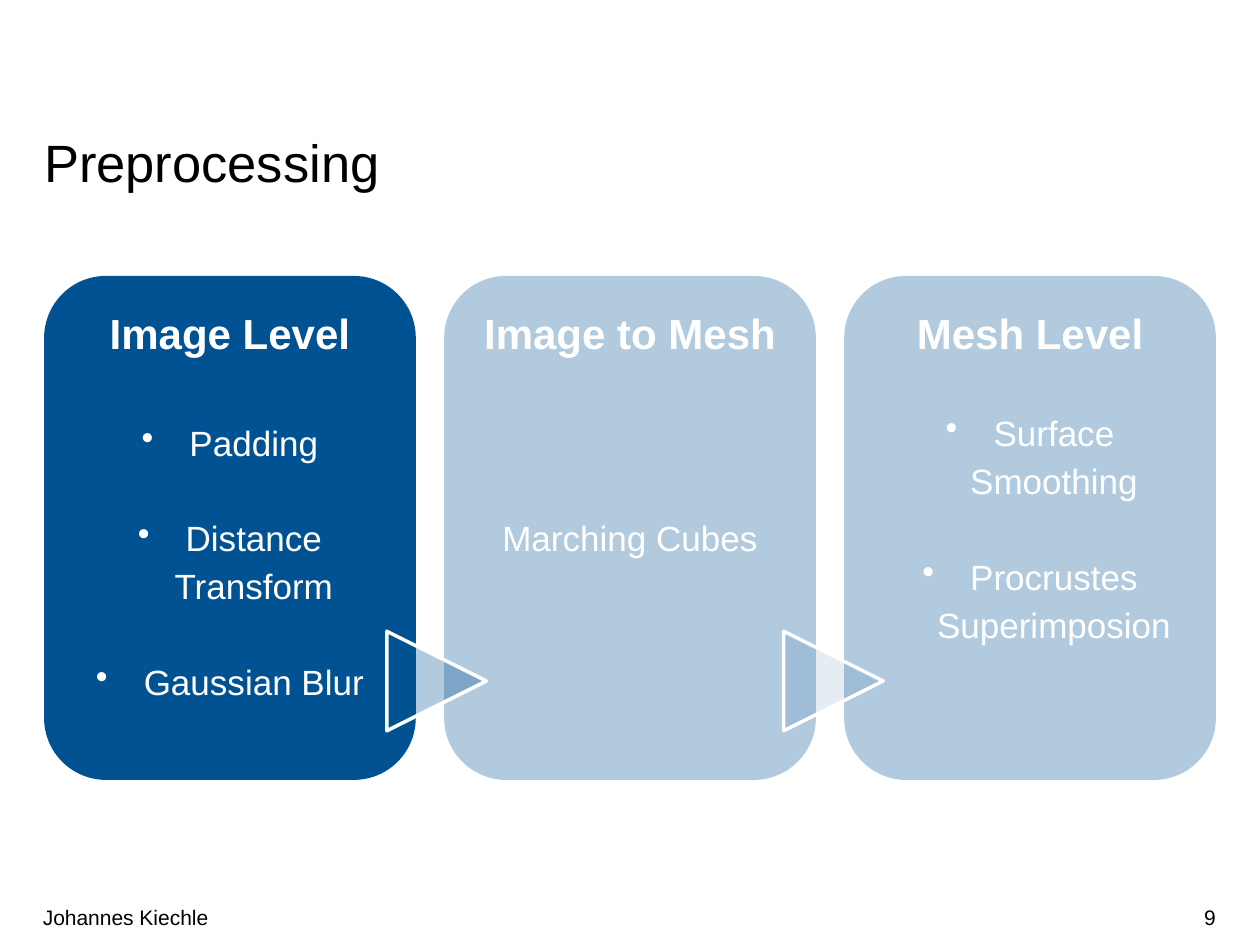
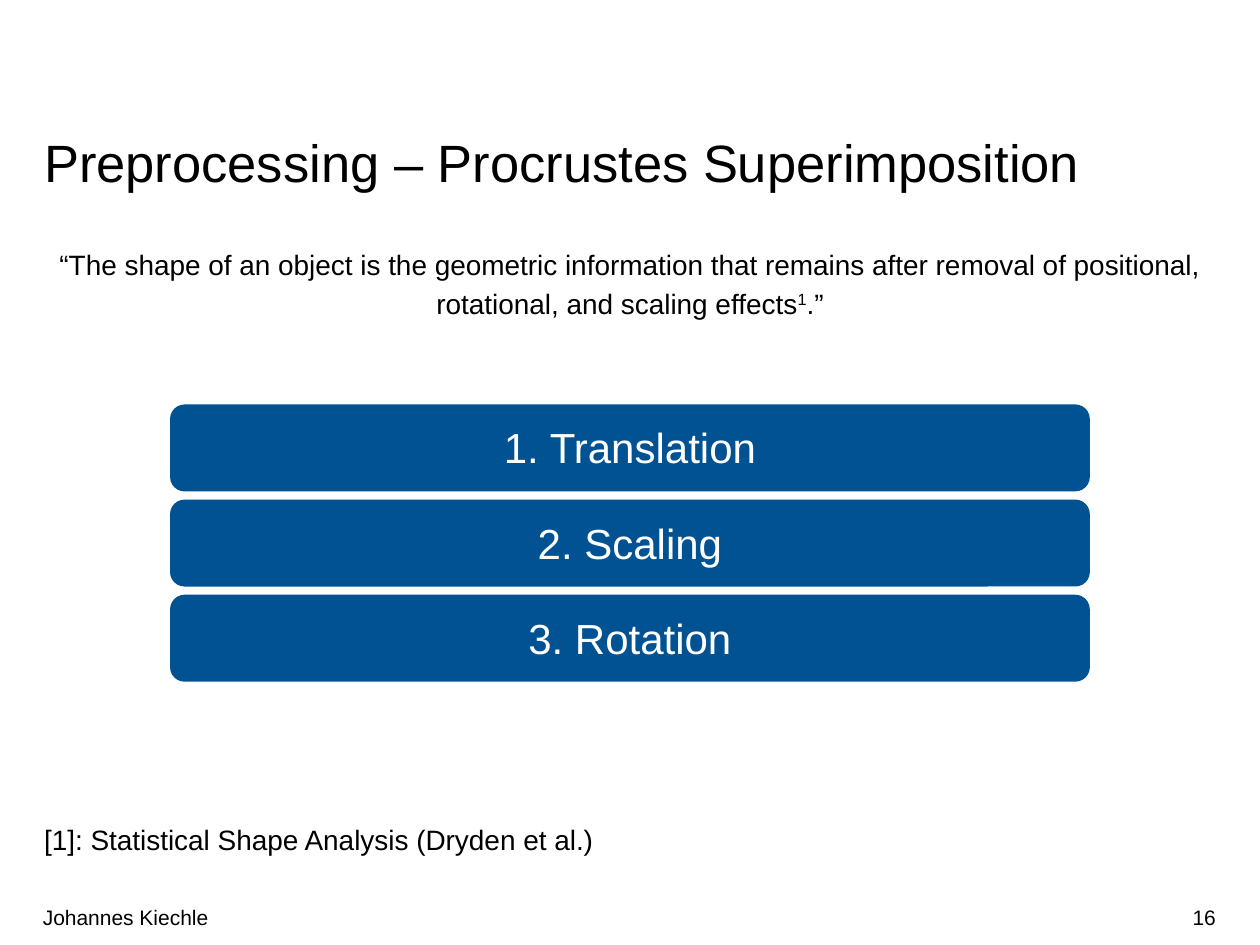
from dataclasses import dataclass

from lxml import etree
from pptx import Presentation, util as u
from pptx.dml.color import RGBColor
from pptx.enum import shapes, text
from pptx.oxml.ns import qn


@dataclass(frozen=True)
class Theme:
    font: str = "Arial"
    ink: str = "000000"
    blue: str = "005293"
    white: str = "FFFFFF"
    title: int = 30
    head: int = 24
    item: int = 20
    body: int = 16
    foot: int = 12
    lead: float = 1.14
    row: float = 1.37


T = Theme()
WIDTH, HEIGHT = 10, 7.5
LEFT, SPAN = 0.35, 9.3
SHAPE = shapes.MSO_SHAPE
ALIGN = text.PP_ALIGN
ANCHOR = text.MSO_ANCHOR
FIT = text.MSO_AUTO_SIZE
FLUSH = dict.fromkeys(("margin_left", "margin_top", "margin_right", "margin_bottom"), 0)


def apply(obj, vals):
    for key, val in vals.items():
        setattr(obj, key, val)


def place(shape, *box):
    apply(shape, dict(zip(("left", "top", "width", "height"), map(u.Inches, box))))


def add_run(para, words, size, color, bold=False, base=0):
    run = para.add_run()
    run.text = words
    apply(run.font, {"name": T.font, "size": u.Pt(size), "bold": bold})
    run.font.color.rgb = RGBColor.from_string(color)
    if base:
        run._r.get_or_add_rPr().set("baseline", str(base * 1000))


def add_para(frame, words, size, color, gap=0, align=ALIGN.LEFT, lead=T.lead,
             bold=False, dot=False):
    para = frame.paragraphs[0]
    if para.runs:
        para = frame.add_paragraph()
    apply(para, {"alignment": align, "line_spacing": lead, "space_before": u.Pt(gap)})
    props = para._p.get_or_add_pPr()
    dent = u.Inches(0.38) if dot else 0
    props.set("marL", str(dent))
    props.set("indent", str(-dent))
    if dot:
        etree.SubElement(props, qn("a:buChar"), char="•")
    else:
        etree.SubElement(props, qn("a:buNone"))
    add_run(para, words, size, color, bold)
    return para


def add_form(slide, kind, box, alpha=100):
    form = slide.shapes.add_shape(kind, *map(u.Inches, box))
    form.shadow.inherit = False
    form.fill.solid()
    form.fill.fore_color.rgb = RGBColor.from_string(T.blue)
    if alpha < 100:
        color = form._element.spPr.find(".//" + qn("a:srgbClr"))
        etree.SubElement(color, qn("a:alpha"), val=str(alpha * 1000))
    form.line.fill.background()
    apply(form.text_frame, {"word_wrap": True, "vertical_anchor": ANCHOR.TOP})
    return form


def add_card(slide, col, head, items, gap, alpha):
    wide = 2.95
    step = (SPAN - wide) / 2
    card = add_form(slide, SHAPE.ROUNDED_RECTANGLE, (LEFT + col * step, 2.19, wide, 4), alpha)
    frame = card.text_frame
    add_para(frame, head, T.head, T.white, align=ALIGN.CENTER, bold=True)
    for num, item in enumerate(items):
        add_para(frame, item, T.item, T.white, T.row * (T.item if num else gap),
                 ALIGN.CENTER, dot=len(items) > 1)


def add_arrow(slide, col, alpha):
    arrow = add_form(slide, SHAPE.ISOSCELES_TRIANGLE, (3.07 + col * 3.15, 5.01, 0.79, 0.79), alpha)
    arrow.rotation = 90
    arrow.line.color.rgb = RGBColor.from_string(T.white)
    arrow.line.width = u.Pt(2)


def add_bar(slide, row, words):
    bar = add_form(slide, SHAPE.ROUNDED_RECTANGLE, (1.35, 3.21 + row * 0.755, 7.3, 0.69))
    add_para(bar.text_frame, words, T.head, T.white, align=ALIGN.CENTER)


def add_foot(slide, left, wide, words, align):
    box = slide.shapes.add_textbox(*map(u.Inches, (left, 7.08, wide, 0.4)))
    apply(box.text_frame, {"word_wrap": True, "vertical_anchor": ANCHOR.MIDDLE,
                           "margin_left": 0, "margin_right": 0})
    add_para(box.text_frame, words, T.foot, T.ink, align=align, lead=1.0)


def add_slide(deck, layout, title, num):
    slide = deck.slides.add_slide(deck.slide_layouts[layout])
    head = slide.shapes.title
    place(head, LEFT, 1.09, SPAN, 0.45)
    apply(head.text_frame, FLUSH | {"vertical_anchor": ANCHOR.TOP, "word_wrap": True,
                                    "auto_size": FIT.SHAPE_TO_FIT_TEXT})
    add_para(head.text_frame, title, T.title, T.ink, lead=u.Pt(32))
    add_foot(slide, 7.41, 2.24, str(num), ALIGN.RIGHT)
    add_foot(slide, 0.34, 7.07, "Johannes Kiechle", ALIGN.LEFT)
    return slide


def add_quote(slide):
    body = slide.placeholders[1]
    place(body, LEFT, 1.93, SPAN, 5.14)
    frame = body.text_frame
    apply(frame, FLUSH | {"vertical_anchor": ANCHOR.TOP, "word_wrap": True,
                          "auto_size": FIT.NONE})
    para = add_para(frame, "“The shape of an object is the geometric information that remains "
                    "after removal of positional, rotational, and scaling effects",
                    T.body, T.ink, align=ALIGN.CENTER)
    add_run(para, "1", T.body, T.ink, base=30)
    add_run(para, ".”", T.body, T.ink)
    add_para(frame, "[1]: Statistical Shape Analysis (Dryden et al.)", T.body, T.ink,
             13 * T.row * T.body)


def main():
    deck = Presentation()
    apply(deck, {"slide_width": u.Inches(WIDTH), "slide_height": u.Inches(HEIGHT)})

    flow = add_slide(deck, 5, "Preprocessing", 9)
    cards = (
        ("Image Level", ("Padding", "Distance Transform", "Gaussian Blur"), T.head, 100),
        ("Image to Mesh", ("Marching Cubes",), T.head + 2 * T.item, 30),
        ("Mesh Level", ("Surface Smoothing", "Procrustes Superimposion"), T.item, 30),
    )
    for col, card in enumerate(cards):
        add_card(flow, col, *card)
    for col, alpha in enumerate((30, 10)):
        add_arrow(flow, col, alpha)

    steps = add_slide(deck, 1, "Preprocessing – Procrustes Superimposition", 16)
    add_quote(steps)
    for row, words in enumerate(("1. Translation", "2. Scaling", "3. Rotation")):
        add_bar(steps, row, words)

    deck.save("out.pptx")


if __name__ == "__main__":
    main()
